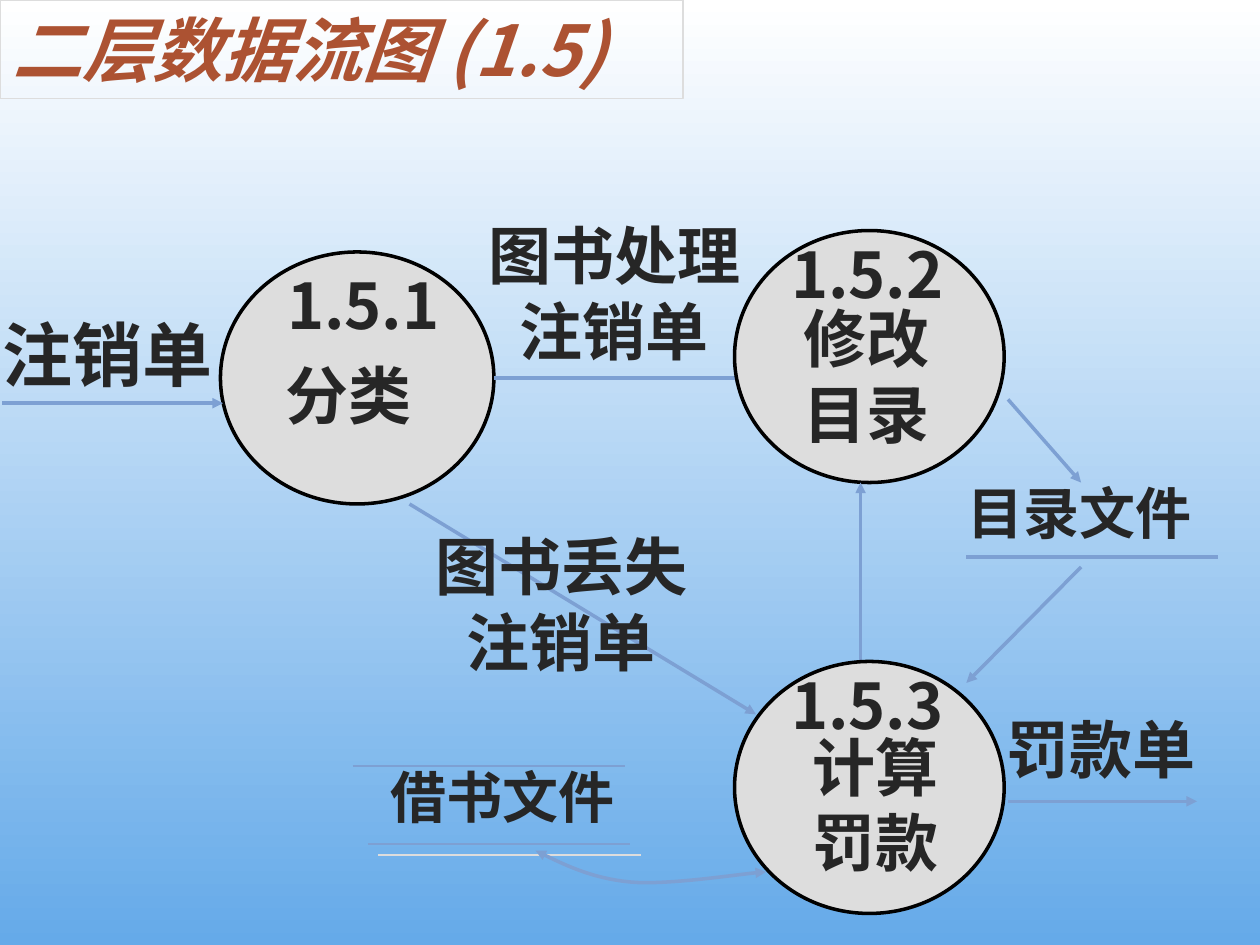
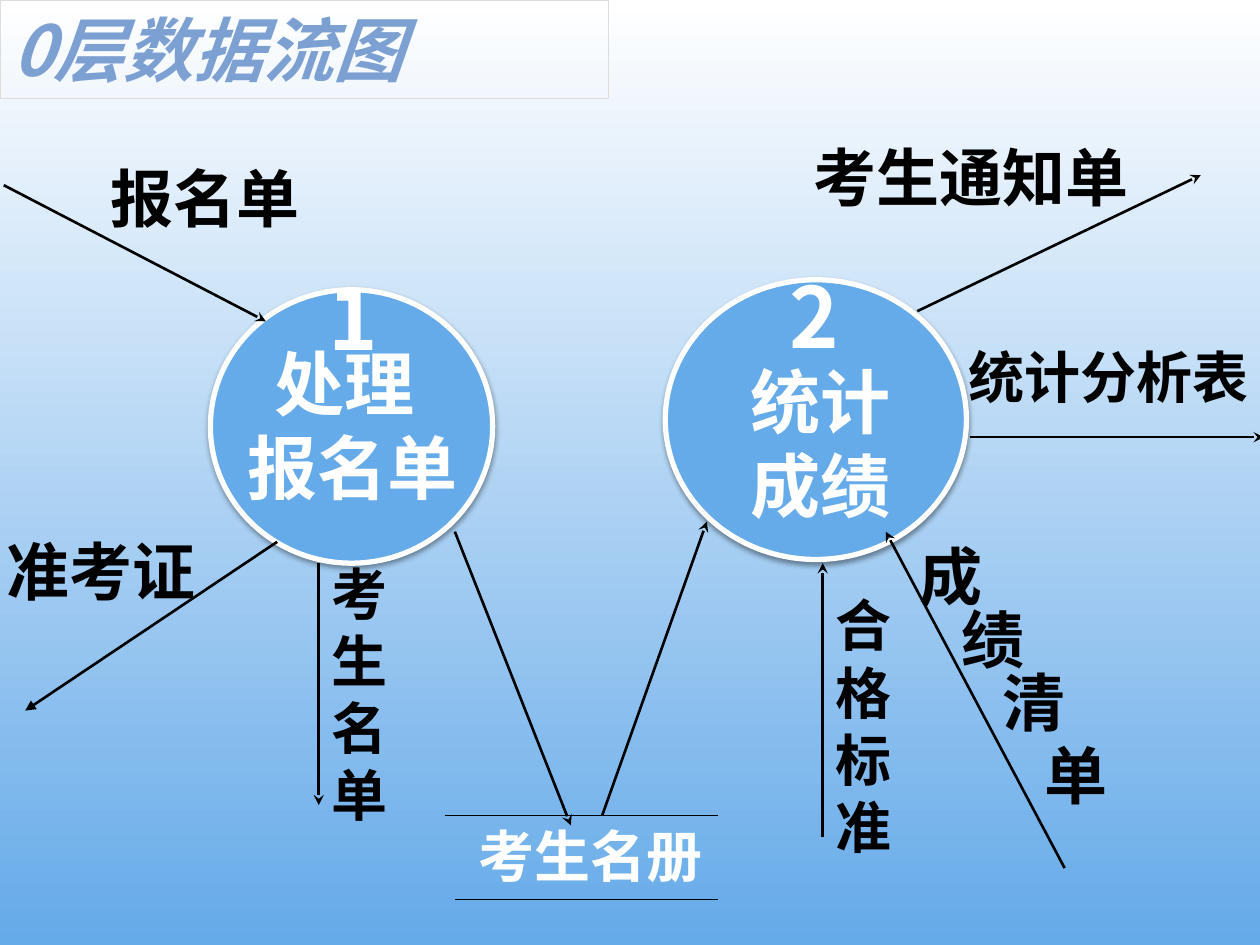
from dataclasses import dataclass
from functools import partial
from typing import Optional

from pptx import Presentation
from pptx.dml.color import RGBColor
from pptx.enum import shapes as kinds, text as txt
from pptx.oxml.ns import qn
from pptx.util import Inches, Pt
from lxml import etree


@dataclass(frozen=True)
class Theme:
    font: str = "Noto Sans CJK SC"
    white: str = "FFFFFF"
    black: str = "000000"
    sky: str = "65AAE9"
    steel: str = "7DA0D3"
    grey: str = "DDDDDD"
    ink: str = "262626"
    rust: str = "AC5232"
    small: int = 32
    medium: int = 36
    large: int = 40
    number: int = 48
    leading: float = 1.2


THEME = Theme()


@dataclass(frozen=True)
class Shadow:
    colour: str
    alpha: int
    blur: float
    distance: float
    angle: int


@dataclass(frozen=True)
class Title:
    text: str
    width: float
    colour: str


@dataclass(frozen=True)
class Process:
    left: float
    top: float
    width: float
    height: float
    fill: str
    outline: str
    weight: float
    shadow: Optional[Shadow] = None


@dataclass(frozen=True)
class Label:
    text: str
    left: float
    top: float
    width: float
    height: float
    size: int = THEME.medium
    colour: str = THEME.black
    align: txt.PP_ALIGN = txt.PP_ALIGN.LEFT
    wrap: bool = True


@dataclass(frozen=True)
class Flow:
    start: tuple
    end: tuple
    colour: str
    weight: float
    head: Optional[str] = None
    tail: Optional[str] = None
    shadow: Optional[Shadow] = None


@dataclass(frozen=True)
class CurvedFlow:
    start: tuple
    curves: tuple
    colour: str
    weight: float
    head: Optional[str] = None
    tail: Optional[str] = None


def rgb(colour: str) -> RGBColor:
    return RGBColor.from_string(colour)


def add_effects(shape, shadow: Optional[Shadow]) -> None:
    effects = etree.SubElement(shape._element.spPr, qn("a:effectLst"))
    if shadow:
        outer = etree.SubElement(
            effects, qn("a:outerShdw"), blurRad=str(Pt(shadow.blur)),
            dist=str(Pt(shadow.distance)), dir=str(shadow.angle * 60000),
            algn="ctr", rotWithShape="0")
        tint = etree.SubElement(outer, qn("a:srgbClr"), val=shadow.colour)
        etree.SubElement(tint, qn("a:alpha"), val=str(shadow.alpha * 1000))


def style_line(shape, colour: str, weight: float,
               head: Optional[str] = None, tail: Optional[str] = None) -> None:
    shape.line.color.rgb = rgb(colour)
    shape.line.width = Pt(weight)
    for end, arrow in (("a:headEnd", head), ("a:tailEnd", tail)):
        if arrow:
            etree.SubElement(shape.line._get_or_add_ln(), qn(end), type=arrow)


def write(shape, content: str, size: int, colour: str, wrap: bool = True,
          align: txt.PP_ALIGN = txt.PP_ALIGN.LEFT, italic: bool = False) -> None:
    frame = shape.text_frame
    frame_format = {"word_wrap": wrap, "auto_size": txt.MSO_AUTO_SIZE.SHAPE_TO_FIT_TEXT,
                    "vertical_anchor": txt.MSO_ANCHOR.TOP}
    font_format = {"name": THEME.font, "size": Pt(size), "bold": True, "italic": italic}
    for name, value in frame_format.items():
        setattr(frame, name, value)
    for index, line in enumerate(content.split("\n")):
        paragraph = frame.add_paragraph() if index else frame.paragraphs[0]
        paragraph.alignment = align
        paragraph.line_spacing = Pt(size * THEME.leading)
        run = paragraph.add_run()
        run.text = line
        for name, value in font_format.items():
            setattr(run.font, name, value)
        run.font.color.rgb = rgb(colour)
        etree.SubElement(run._r.get_or_add_rPr(), qn("a:ea"), typeface=THEME.font)


def draw_title(slide, title: Title) -> None:
    band = slide.shapes.add_shape(kinds.MSO_SHAPE.RECTANGLE, 0, 0,
                                  Inches(title.width), Inches(0.78))
    band.fill.background()
    style_line(band, THEME.grey, 0.75)
    band.shadow.inherit = False
    write(band, title.text, THEME.large, title.colour, italic=True)


def draw_process(slide, process: Process) -> None:
    circle = slide.shapes.add_shape(
        kinds.MSO_SHAPE.OVAL, Inches(process.left), Inches(process.top),
        Inches(process.width), Inches(process.height))
    circle.fill.solid()
    circle.fill.fore_color.rgb = rgb(process.fill)
    style_line(circle, process.outline, process.weight)
    add_effects(circle, process.shadow)


def draw_label(slide, label: Label) -> None:
    box = slide.shapes.add_textbox(Inches(label.left), Inches(label.top),
                                   Inches(label.width), Inches(label.height))
    write(box, label.text, label.size, label.colour, label.wrap, label.align)


def draw_flow(slide, flow: Flow) -> None:
    connector = slide.shapes.add_connector(
        kinds.MSO_CONNECTOR.STRAIGHT, *map(Inches, flow.start + flow.end))
    style_line(connector, flow.colour, flow.weight, flow.head, flow.tail)
    add_effects(connector, flow.shadow)


def bezier(points: tuple, steps: int = 16) -> list:
    def at(t: float) -> tuple:
        weights = ((1 - t) ** 3, 3 * t * (1 - t) ** 2, 3 * t ** 2 * (1 - t), t ** 3)
        return tuple(Inches(sum(w * p[axis] for w, p in zip(weights, points)))
                     for axis in (0, 1))
    return [at(step / steps) for step in range(1, steps + 1)]


def draw_curve(slide, flow: CurvedFlow) -> None:
    builder = slide.shapes.build_freeform(*map(Inches, flow.start))
    origin = flow.start
    for curve in flow.curves:
        builder.add_line_segments(bezier((origin, *curve)), close=False)
        origin = curve[-1]
    outline = builder.convert_to_shape()
    outline.fill.background()
    style_line(outline, flow.colour, flow.weight, flow.head, flow.tail)
    outline.shadow.inherit = False


DRAW = {Title: draw_title, Process: draw_process, Label: draw_label,
        Flow: draw_flow, CurvedFlow: draw_curve}

CENTER = txt.PP_ALIGN.CENTER

book_process = partial(Process, height=2, fill=THEME.grey, outline=THEME.black, weight=2)
book_store = partial(Flow, colour=THEME.steel, weight=1)
book_line = partial(Flow, colour=THEME.steel, weight=2)
book_flow = partial(book_line, tail="triangle")
book_label = partial(Label, colour=THEME.ink)
book_number = partial(book_label, width=1.46, height=0.7, wrap=False)
book_task = partial(book_label, width=1.75, height=1.3, align=CENTER)
book_slip = partial(book_label, width=2.25, height=1.3, align=CENTER)

BOOK_CANCELLING = [
    Title("二层数据流图 (1.5)", 5.42, THEME.rust),
    book_process(1.75, 2, 2.17),
    book_label("分类 ", 1.78, 2.78, 2.08, 0.7, align=CENTER),
    book_line((5.92, 3), (3.92, 3), head="triangle"),
    book_label("注销单", -0.08, 2.42, 2.17, 0.77, THEME.large),
    book_line((7.67, 4.42), (9.67, 4.42)),
    book_number("1.5.1", 2.18, 2.07),
    book_process(5.83, 1.83, 2.14),
    book_task("修改 目录", 6, 2.33),
    book_number("1.5.2", 6.18, 1.82),
    book_flow((6.83, 5.25), (6.83, 3.83)),
    book_label("借书文件", 3, 6, 2.01, 0.64, THEME.small, wrap=False),
    book_store((2.8, 6.08), (4.96, 6.08)),
    book_store((2.92, 6.7), (5, 6.7), shadow=Shadow(THEME.grey, 100, 0, 8.5, 45)),
    book_label("目录文件", 7.58, 3.75, 2.17, 0.64, THEME.small),
    book_slip("图书处理\n注销单", 3.75, 1.67),
    book_process(5.83, 5.25, 2.14),
    book_task("计算 罚款", 6.07, 5.73),
    book_number("1.5.3", 6.18, 5.24),
    book_flow((0.02, 3.2), (1.77, 3.2)),
    book_flow((3.25, 4), (6, 5.67)),
    book_slip("图书丢失\n注销单", 3.33, 4.14),
    book_flow((8, 3.17), (8.58, 3.83)),
    book_flow((8.58, 4.5), (7.67, 5.42)),
    CurvedFlow((4.25, 6.75),
               (((4.47, 6.86), (4.69, 6.97), (5, 7)),
                ((5.31, 7.03), (5.9, 6.93), (6.08, 6.92))),
               THEME.steel, 2, "triangle", "triangle"),
    book_flow((8, 6.36), (9.5, 6.36)),
    book_label("罚款单", 7.78, 5.59, 1.92, 0.7, align=CENTER),
]

exam_process = partial(Process, fill=THEME.sky, outline=THEME.white, weight=3,
                       shadow=Shadow(THEME.black, 38, 3.1, 1.6, 90))
exam_line = partial(Flow, colour=THEME.black, weight=1.5)
exam_flow = partial(exam_line, tail="stealth")
exam_store = partial(Flow, colour=THEME.black, weight=0.75)
exam_number = partial(Label, width=0.54, height=0.9, size=THEME.number,
                      colour=THEME.white, wrap=False)
exam_task = partial(Label, height=1.43, size=THEME.large, colour=THEME.white)
exam_column = partial(Label, width=0.75, height=2.26, size=THEME.small)
score_list = [Label(character, 7.2 + 0.33 * index, top, 0.83, 0.7)
              for index, (character, top) in enumerate(zip("成绩清单", (4.22, 4.72, 5.22, 5.8)))]

EXAM_REGISTRATION = [
    exam_process(1.67, 2.3, 2.24, 2.17),
    exam_task("处理 \n报名单", 1.67, 2.65, 2.25, align=CENTER),
    exam_flow((0.03, 1.47), (2.11, 2.55)),
    exam_line((0.2, 5.64), (2.2, 4.3), head="triangle"),
    Label("报名单", 0.78, 1.22, 2.17, 0.7),
    Label("准考证", -0.05, 4.18, 1.75, 0.7),
    exam_flow((2.53, 4.47), (2.53, 6.39)),
    exam_number("1", 2.51, 2.07),
    exam_process(5.28, 2.22, 2.39, 2.22),
    exam_task("统计成绩", 5.86, 2.8, 1.75),
    exam_number("2", 6.17, 2.05),
    exam_flow((3.61, 4.22), (4.53, 6.55)),
    exam_flow((4.78, 6.47), (5.61, 4.14)),
    exam_flow((7.28, 2.47), (9.53, 1.39)),
    Label("考生通知单", 6.36, 1.05, 3, 0.7),
    exam_flow((6.53, 6.64), (6.53, 4.47)),
    exam_flow((7.7, 3.47), (10.03, 3.47)),
    Title("0层数据流图", 4.83, THEME.steel),
    Label("考生名册", 3.7, 6.47, 2.01, 0.64, THEME.small, THEME.white, wrap=False),
    exam_store((3.53, 6.47), (5.7, 6.47)),
    exam_store((3.61, 7.14), (5.7, 7.14)),
    exam_flow((8.45, 6.89), (7.03, 4.22)),
    *score_list,
    exam_column("合\n格\n标\n准", 6.53, 4.64),
    exam_column("考生名\n单", 2.53, 4.39),
    Label("统计分析表", 7.59, 2.67, 2.58, 0.64, THEME.small),
]


def paint_background(slide) -> None:
    fill = slide.background.fill
    fill.gradient()
    fill.gradient_angle = 270
    for stop, position, colour in zip(fill.gradient_stops, (0, 1), (THEME.white, THEME.sky)):
        stop.position = position
        stop.color.rgb = rgb(colour)


def main() -> None:
    deck = Presentation()
    deck.slide_width, deck.slide_height = Inches(10), Inches(7.5)
    for diagram in (BOOK_CANCELLING, EXAM_REGISTRATION):
        slide = deck.slides.add_slide(deck.slide_layouts[6])
        paint_background(slide)
        for part in diagram:
            DRAW[type(part)](slide, part)
    deck.save("out.pptx")


if __name__ == "__main__":
    main()
